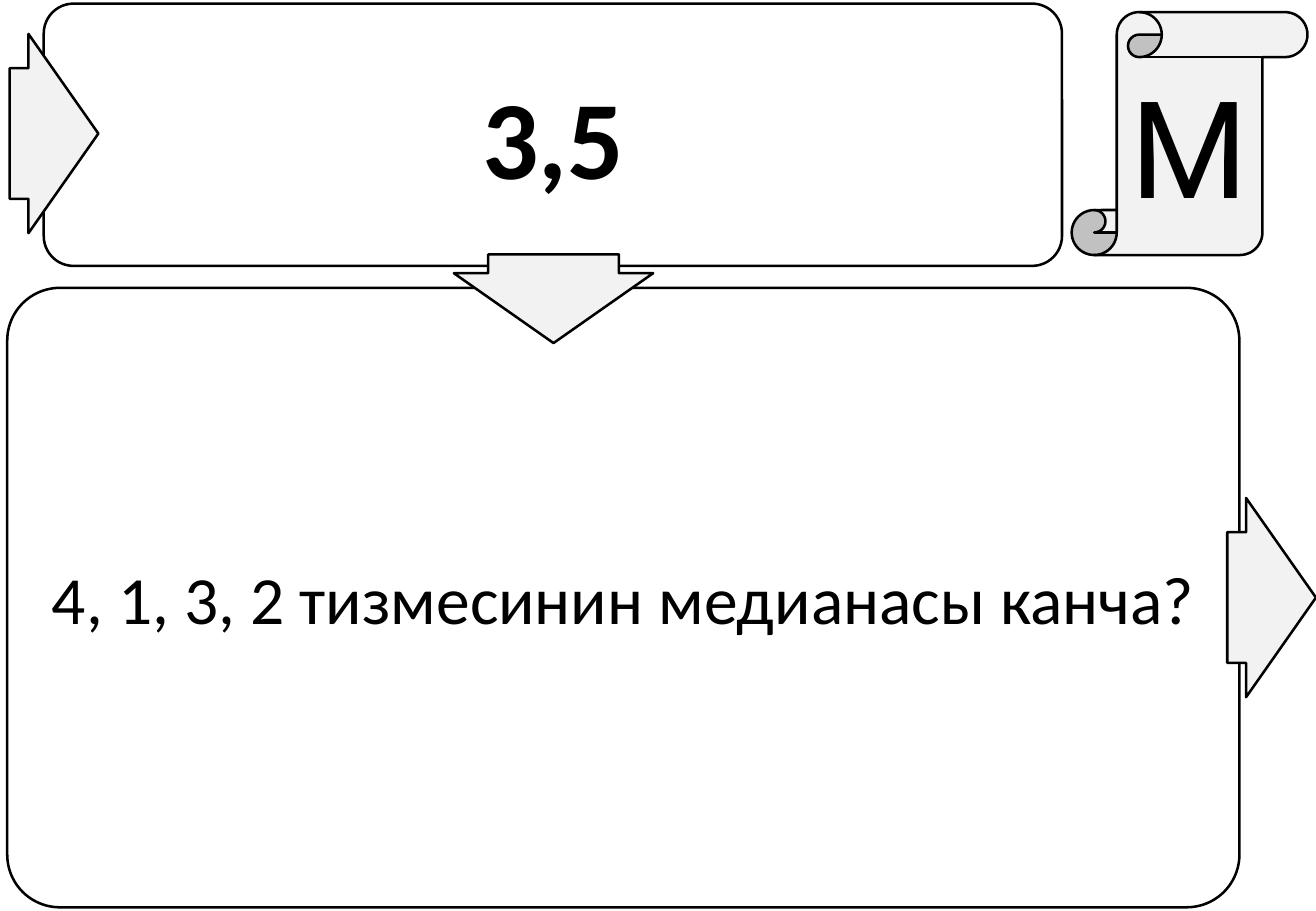
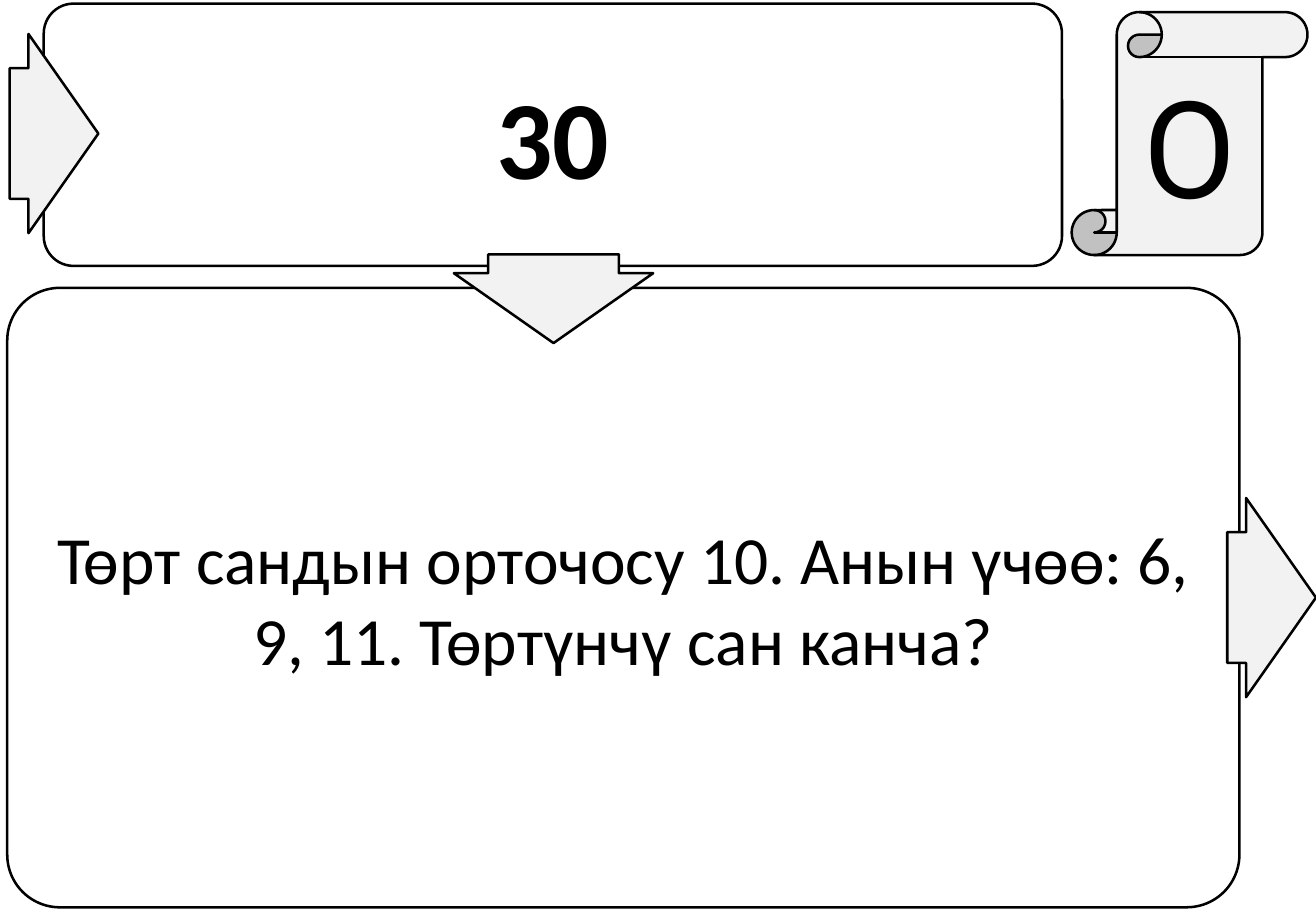
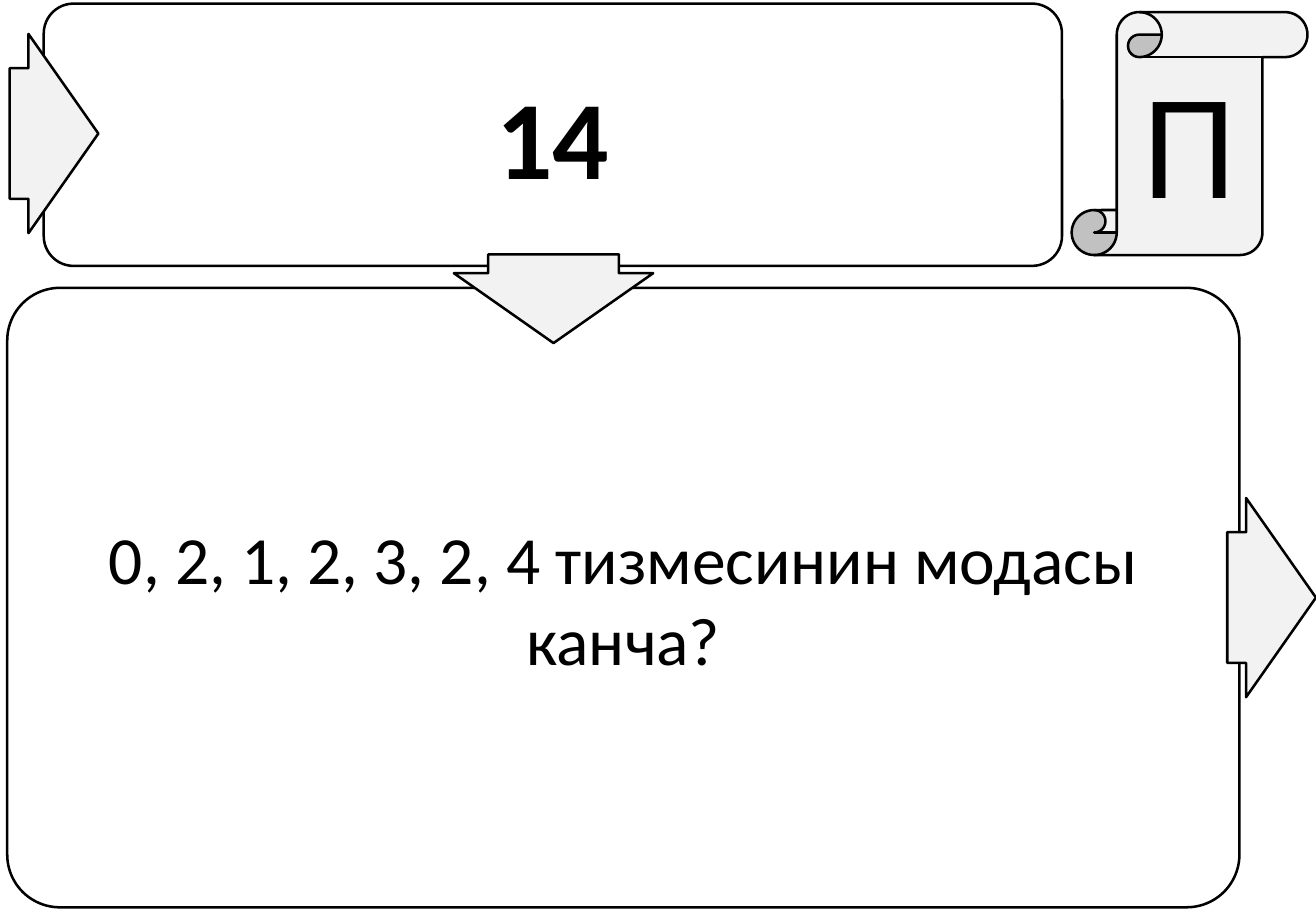
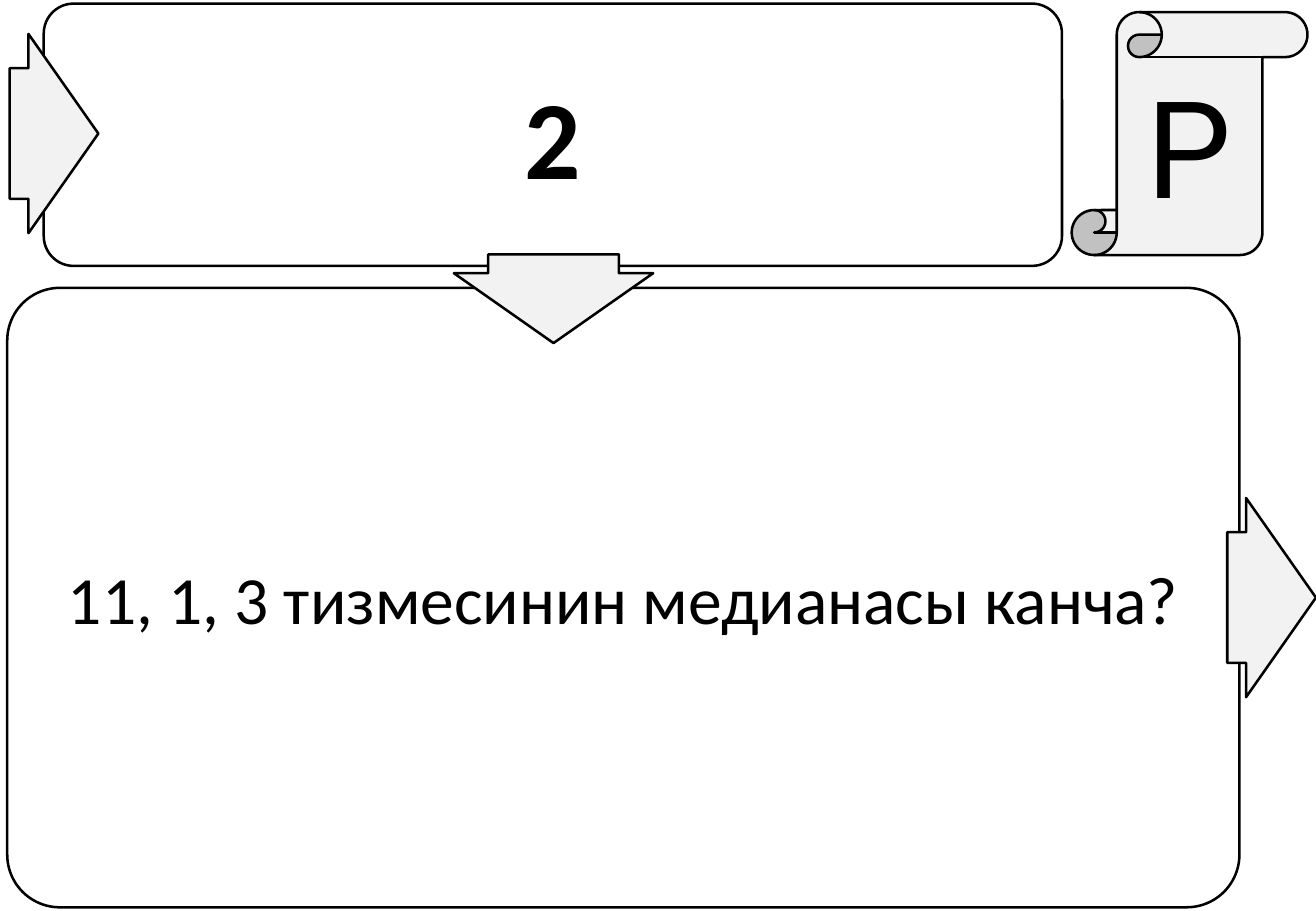
"""Build four domino-style quiz cards on averages, medians and modes."""
from dataclasses import dataclass

from pptx import Presentation
from pptx import util as u
from pptx.dml.color import RGBColor
from pptx.enum import shapes, text


@dataclass(frozen=True)
class Theme:
    ink: RGBColor = RGBColor(0x00, 0x00, 0x00)
    accent: RGBColor = RGBColor(0xF2, 0xF2, 0xF2)
    font: str = "Calibri"
    letter_font: str = "Roboto"
    question_size: int = 40
    answer_size: int = 66
    letter_size: int = 80
    outline: float = 1.5


THEME = Theme()
KIND = shapes.MSO_SHAPE


def add_outlined_shape(slide, kind, box, adjustments, fill=None):
    shape = slide.shapes.add_shape(kind, *map(u.Inches, box))
    shape.shadow.inherit = False
    for index, value in enumerate(adjustments):
        shape.adjustments[index] = value
    if fill is None:
        shape.fill.background()
    else:
        shape.fill.solid()
        shape.fill.fore_color.rgb = fill
    shape.line.color.rgb = THEME.ink
    shape.line.width = u.Pt(THEME.outline)
    return shape


def write(shape, words, *, size, font=THEME.font, bold=False):
    frame = shape.text_frame
    frame.word_wrap = True
    frame.vertical_anchor = text.MSO_ANCHOR.MIDDLE
    frame.margin_left = frame.margin_right = u.Inches(0.11)
    frame.margin_top = frame.margin_bottom = u.Inches(0.05)
    paragraph = frame.paragraphs[0]
    paragraph.alignment = text.PP_ALIGN.CENTER
    run = paragraph.add_run()
    run.text = words
    run.font.name = font
    run.font.size = u.Pt(size)
    run.font.bold = bold
    run.font.color.rgb = THEME.ink


CARDS = [
    ("М", "3,5", "4, 1, 3, 2 тизмесинин медианасы канча?"),
    ("О", "30", "Төрт сандын орточосу 10. Анын үчөө: 6, 9, 11. Төртүнчү сан канча?"),
    ("П", "14", "0, 2, 1, 2, 3, 2, 4 тизмесинин модасы канча?"),
    ("Р", "2", "11, 1, 3 тизмесинин медианасы канча?"),
]
ARROW_SIZE = (0.73, 1.64)
ARROWS = [(4.19, 1.64, 90), (10.1, 4.1, 0), (0.08, 0.28, 0)]

presentation = Presentation()
presentation.slide_width = u.Inches(10.83)
presentation.slide_height = u.Inches(7.5)
blank_layout = presentation.slide_layouts[6]

for letter, answer, question in CARDS:
    slide = presentation.slides.add_slide(blank_layout)

    question_box = add_outlined_shape(
        slide, KIND.ROUNDED_RECTANGLE, (0.06, 2.37, 10.14, 5.1), [0.085])
    write(question_box, question, size=THEME.question_size)

    answer_box = add_outlined_shape(
        slide, KIND.ROUNDED_RECTANGLE, (0.36, 0.03, 8.38, 2.16), [0.114])
    write(answer_box, answer, size=THEME.answer_size, bold=True)

    scroll = add_outlined_shape(
        slide, KIND.VERTICAL_SCROLL, (8.82, 0.1, 1.94, 2), [0.191], THEME.accent)
    write(scroll, letter, size=THEME.letter_size, font=THEME.letter_font)

    for left, top, rotation in ARROWS:
        arrow = add_outlined_shape(
            slide, KIND.RIGHT_ARROW, (left, top, *ARROW_SIZE), [0.656, 0.788], THEME.accent)
        arrow.rotation = rotation

presentation.save("out.pptx")
